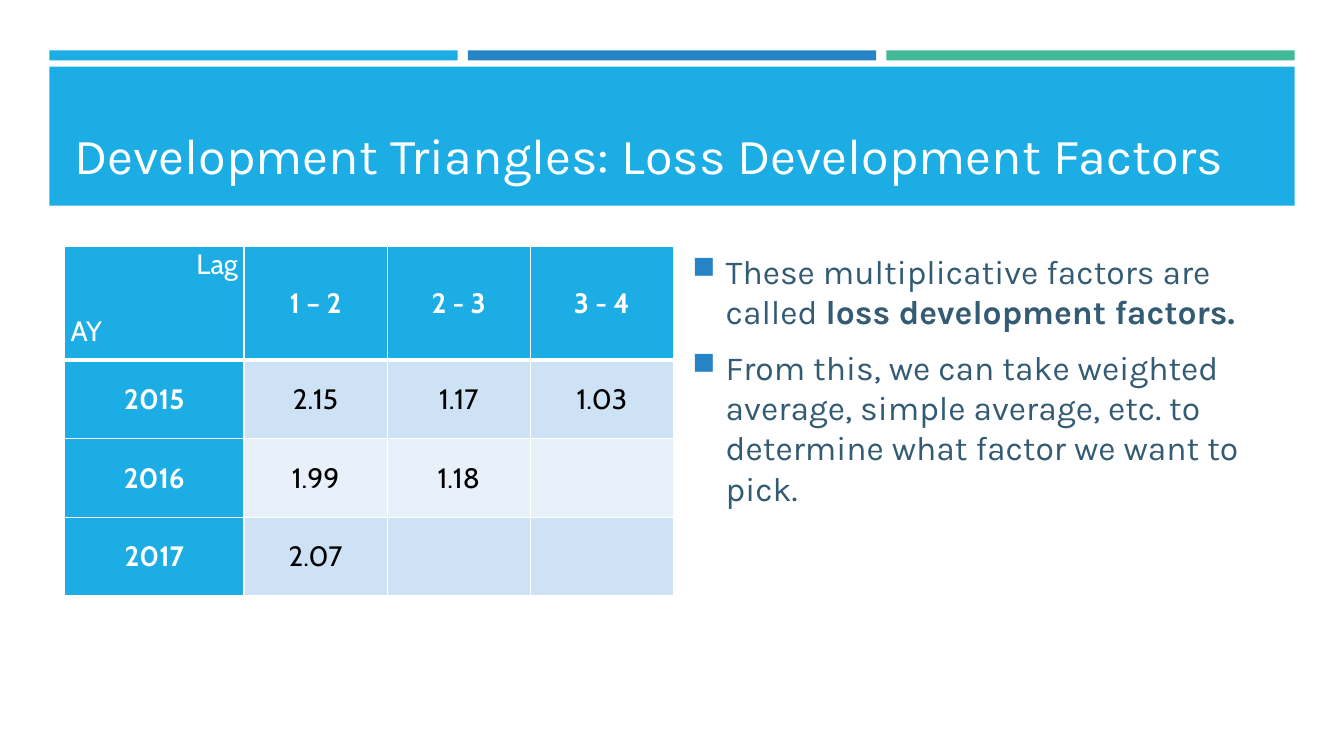
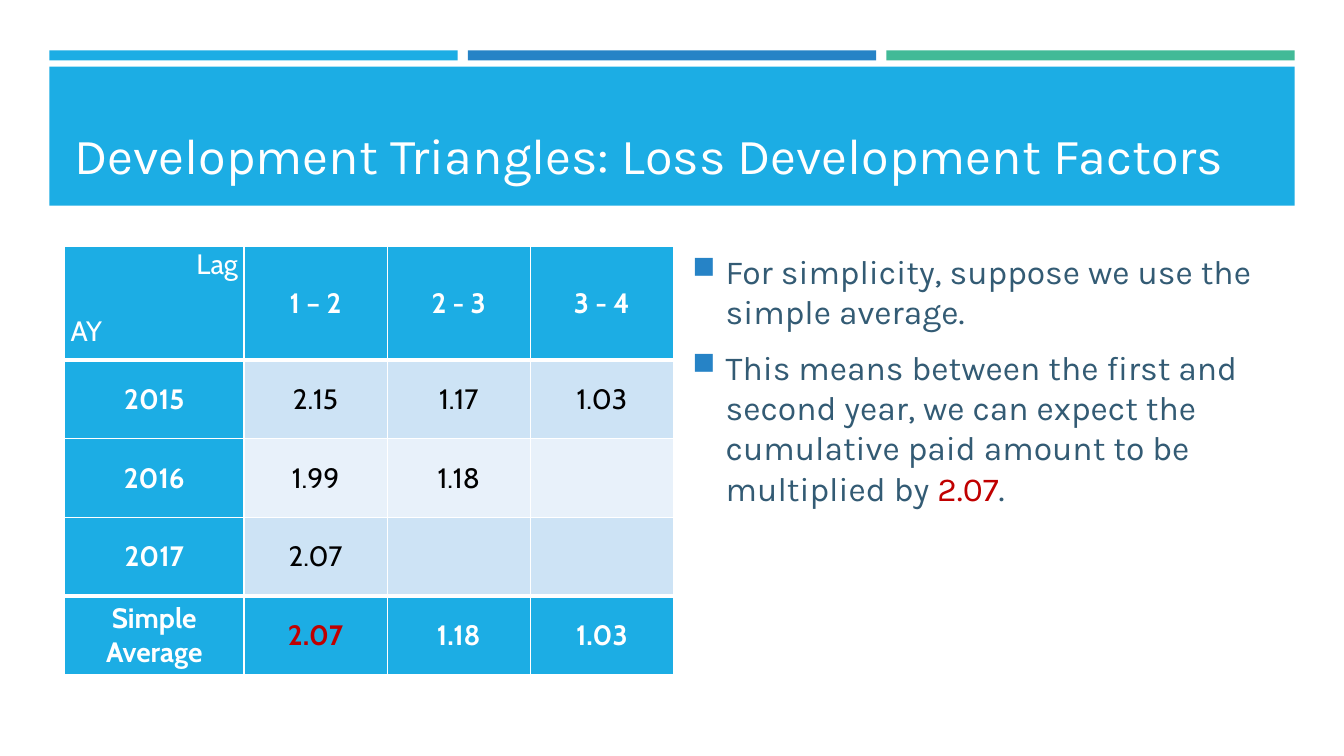
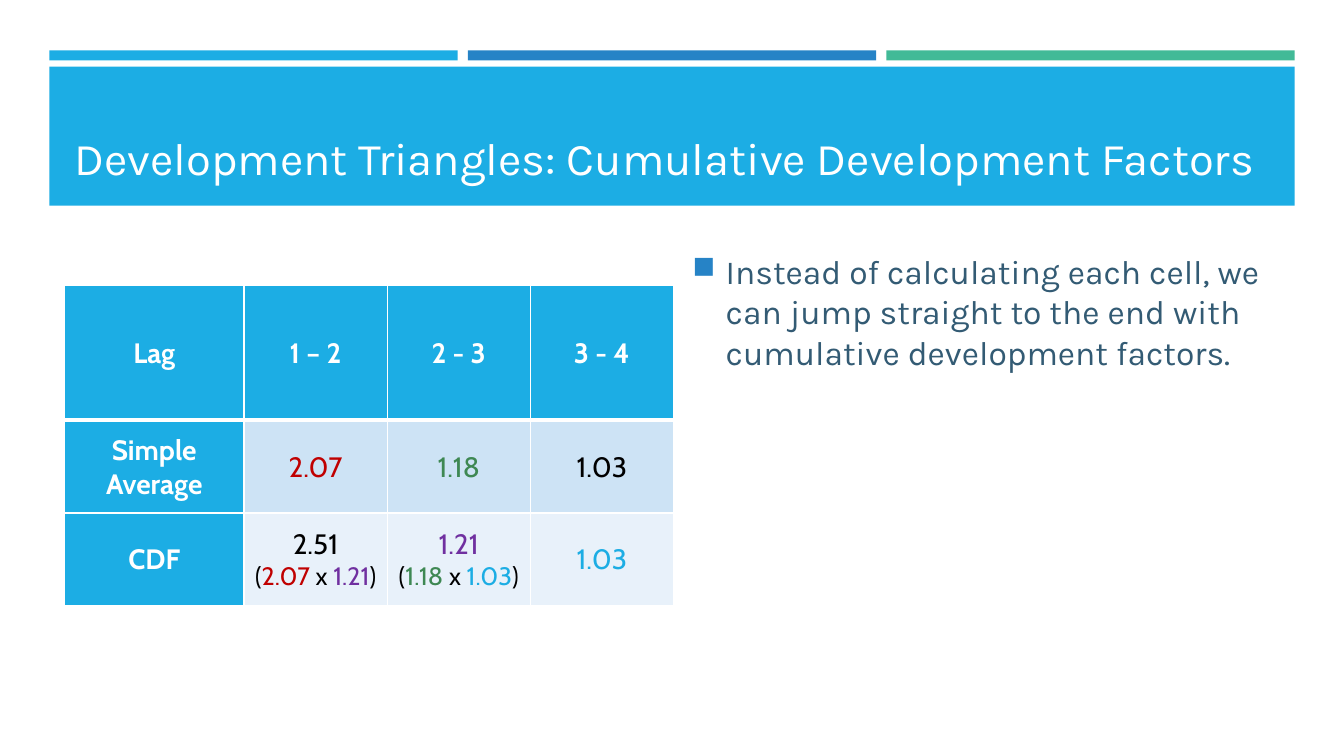
from collections import namedtuple

from lxml.etree import SubElement
from pptx import Presentation
from pptx.dml.color import RGBColor
from pptx.enum.shapes import MSO_SHAPE
from pptx.enum.text import MSO_ANCHOR, PP_ALIGN
from pptx.oxml.ns import qn
from pptx.util import Inches, Pt

WIDTH, HEIGHT = 13.33, 7.5
EDGE, GAP, BAR_WIDTH = 0.49, 0.1, 4.05
LEFT, CONTENT_TOP = 0.64, 2.44
COLUMNS = [1.78, 1.42, 1.42, 1.42]

SKY, BLUE, MINT, SLATE = "1CADE4", "2683C6", "42BA97", "335B74"
WHITE, BLACK, RED, GREEN, PURPLE = "FFFFFF", "000000", "C00000", "3E8853", "7030A0"
BANDS = ["E8F1FA", "CDE3F5"]
HEADING_FONT, TABLE_FONT = "Karla", "Cabin"

Span = namedtuple("Span", "text color bold", defaults=(None, None))

LAGS = ["1 – 2", "2 - 3", "3 - 4"]
FACTORS = [
    ["2015", "2.15", "1.17", "1.03"],
    ["2016", "1.99", "1.18", ""],
    ["2017", "2.07", "", ""],
]
AVERAGES = ["Simple Average", [[Span("2.07", RED)]], "1.18", "1.03"]


def rgb(color):
    """Turn a hex string into a colour."""
    return RGBColor.from_string(color)


def style_font(font, name, size, color, bold=False):
    """Set the typeface, size, colour and weight of a font."""
    font.name, font.size, font.bold = name, Pt(size), bold
    font.color.rgb = rgb(color)


def write_spans(para, spans):
    """Add plain strings and styled spans to a paragraph."""
    for span in spans:
        span = span if isinstance(span, Span) else Span(span)
        run = para.add_run()
        run.text = span.text
        if span.color:
            run.font.color.rgb = rgb(span.color)
        if span.bold:
            run.font.bold = True


def paragraphs(frame, count):
    """Return the given number of paragraphs of an empty text frame."""
    return [frame.paragraphs[0]] + [frame.add_paragraph() for _ in range(count - 1)]


def add_bar(page, left, top, width, height, color):
    """Draw a plain filled rectangle."""
    bar = page.shapes.add_shape(MSO_SHAPE.RECTANGLE, Inches(left), Inches(top),
                                Inches(width), Inches(height))
    bar.shadow.inherit = False
    bar.fill.solid()
    bar.fill.fore_color.rgb = rgb(color)
    bar.line.fill.background()


def add_text_frame(page, left, top, width, height):
    """Add a wrapping text box and return its frame."""
    box = page.shapes.add_textbox(Inches(left), Inches(top), Inches(width), Inches(height))
    box.text_frame.word_wrap = True
    return box.text_frame


def add_page(deck, title, size=36):
    """Add a slide with the three bars and the title band."""
    page = deck.slides.add_slide(deck.slide_layouts[6])
    for index, color in enumerate([SKY, BLUE, MINT]):
        add_bar(page, EDGE + index * (BAR_WIDTH + GAP), 0.5, BAR_WIDTH, 0.1, color)
    add_bar(page, EDGE, 0.66, WIDTH - 2 * EDGE, 1.38, SKY)
    frame = add_text_frame(page, LEFT, 0.8, WIDTH - 2 * LEFT, 1.08)
    frame.vertical_anchor = MSO_ANCHOR.BOTTOM
    para = frame.paragraphs[0]
    style_font(para.font, HEADING_FONT, size, WHITE)
    write_spans(para, [title])
    return page


def add_bullet(para):
    """Give a paragraph a hanging square bullet."""
    props = para._p.get_or_add_pPr()
    indent = Inches(0.33)
    props.set("marL", str(indent))
    props.set("indent", str(-indent))
    SubElement(SubElement(props, qn("a:buClr")), qn("a:srgbClr"), val=BLUE)
    SubElement(props, qn("a:buSzPct"), val="92000")
    SubElement(props, qn("a:buChar"), char="■")


def add_bullets(page, items):
    """Write the bulleted text in the right half."""
    frame = add_text_frame(page, 6.77, CONTENT_TOP, 5.93, 3.97)
    for para, spans in zip(paragraphs(frame, len(items)), items):
        add_bullet(para)
        para.space_before, para.space_after = Pt(4.8), Pt(6)
        style_font(para.font, HEADING_FONT, 24, SLATE)
        write_spans(para, spans)


def set_borders(cell, top, bottom):
    """Draw white cell borders with the given top and bottom widths."""
    props = cell._tc.get_or_add_tcPr()
    widths = {"a:lnL": 1, "a:lnR": 1, "a:lnT": top, "a:lnB": bottom}
    for index, (tag, width) in enumerate(widths.items()):
        line = SubElement(props, qn(tag), w=str(Pt(width)))
        SubElement(SubElement(line, qn("a:solidFill")), qn("a:srgbClr"), val=WHITE)
        props.insert(index, line)


def fill_cell(cell, content, fill, color, bold):
    """Fill a cell with centred lines, later lines being smaller."""
    cell.fill.solid()
    cell.fill.fore_color.rgb = rgb(fill)
    cell.vertical_anchor = MSO_ANCHOR.MIDDLE
    cell.margin_left = cell.margin_right = cell.margin_top = Inches(0.01)
    cell.margin_bottom = 0
    lines = [[content]] if isinstance(content, str) else content
    for index, para in enumerate(paragraphs(cell.text_frame, len(lines))):
        para.alignment = PP_ALIGN.CENTER
        style_font(para.font, TABLE_FONT, 18 if index else 20, color, bold)
        if lines[index] != [""]:
            write_spans(para, lines[index])


def split_corner(cell):
    """Set the two axis names in opposite corners of a cell."""
    cell.vertical_anchor = MSO_ANCHOR.TOP
    cell.margin_left = cell.margin_right = Inches(0.06)
    lag, year = cell.text_frame.paragraphs
    lag.alignment, year.alignment = PP_ALIGN.RIGHT, PP_ALIGN.LEFT
    year.space_before = Pt(24)
    for para in (lag, year):
        style_font(para.font, TABLE_FONT, 20, WHITE)


def add_factor_table(page, rows, top, head_height, row_height, total=False):
    """Add a table with a header row, a header column and an optional total row."""
    height = head_height + row_height * (len(rows) - 1)
    table = page.shapes.add_table(len(rows), len(COLUMNS), Inches(LEFT), Inches(top),
                                  Inches(sum(COLUMNS)), Inches(height)).table
    table.first_row = table.horz_banding = False
    for column, width in zip(table.columns, COLUMNS):
        column.width = Inches(width)
    heavy = {1, len(rows) - 1} if total else {1}
    for r, row in enumerate(rows):
        table.rows[r].height = Inches(row_height if r else head_height)
        summary = r == 0 or (total and r == len(rows) - 1)
        for c, content in enumerate(row):
            strong = summary or c == 0
            cell = table.cell(r, c)
            fill_cell(cell, content, SKY if strong else BANDS[r % 2],
                      WHITE if strong else BLACK, strong)
            set_borders(cell, 3 if r in heavy else 1, 3 if r + 1 in heavy else 1)
    return table


def add_triangle(page, rows, total=False):
    """Add the triangle of factors by accident year and lag."""
    header = [[["Lag"], ["AY"]], *LAGS]
    table = add_factor_table(page, [header, *rows], CONTENT_TOP, 1.13, 0.78, total)
    split_corner(table.cell(0, 0))


def product(result, left, right):
    """Return a factor with the product that gives it below."""
    return [[result], ["(", left, " x ", right, ")"]]


def main():
    """Build and save the deck."""
    deck = Presentation()
    deck.slide_width, deck.slide_height = Inches(WIDTH), Inches(HEIGHT)
    loss_title = "Development Triangles: Loss Development Factors"

    page = add_page(deck, loss_title)
    add_triangle(page, FACTORS)
    add_bullets(page, [
        ["These multiplicative factors are called ",
         Span("loss development factors.", bold=True)],
        ["From this, we can take weighted average, simple average, etc. to "
         "determine what factor we want to pick."],
    ])

    page = add_page(deck, loss_title)
    add_triangle(page, [*FACTORS, AVERAGES], total=True)
    add_bullets(page, [
        ["For simplicity, suppose we use the simple average."],
        ["This means between the first and second year, we can expect the "
         "cumulative paid amount to be multiplied by ", Span("2.07", RED), "."],
    ])

    page = add_page(deck, "Development Triangles: Cumulative Development Factors", 32.4)
    first, second = Span("2.07", RED), Span("1.18", GREEN)
    last, cumulative = Span("1.03", SKY), Span("1.21", PURPLE)
    add_factor_table(page, [
        ["Lag", *LAGS],
        ["Simple Average", [[first]], [[second]], "1.03"],
        ["CDF", product("2.51", first, cumulative),
         product(cumulative, second, last), [[last]]],
    ], 2.83, 1.34, 0.92)
    add_bullets(page, [
        ["Instead of calculating each cell, we can jump straight to the end with "
         "cumulative development factors."],
    ])

    deck.save("out.pptx")


if __name__ == "__main__":
    main()
